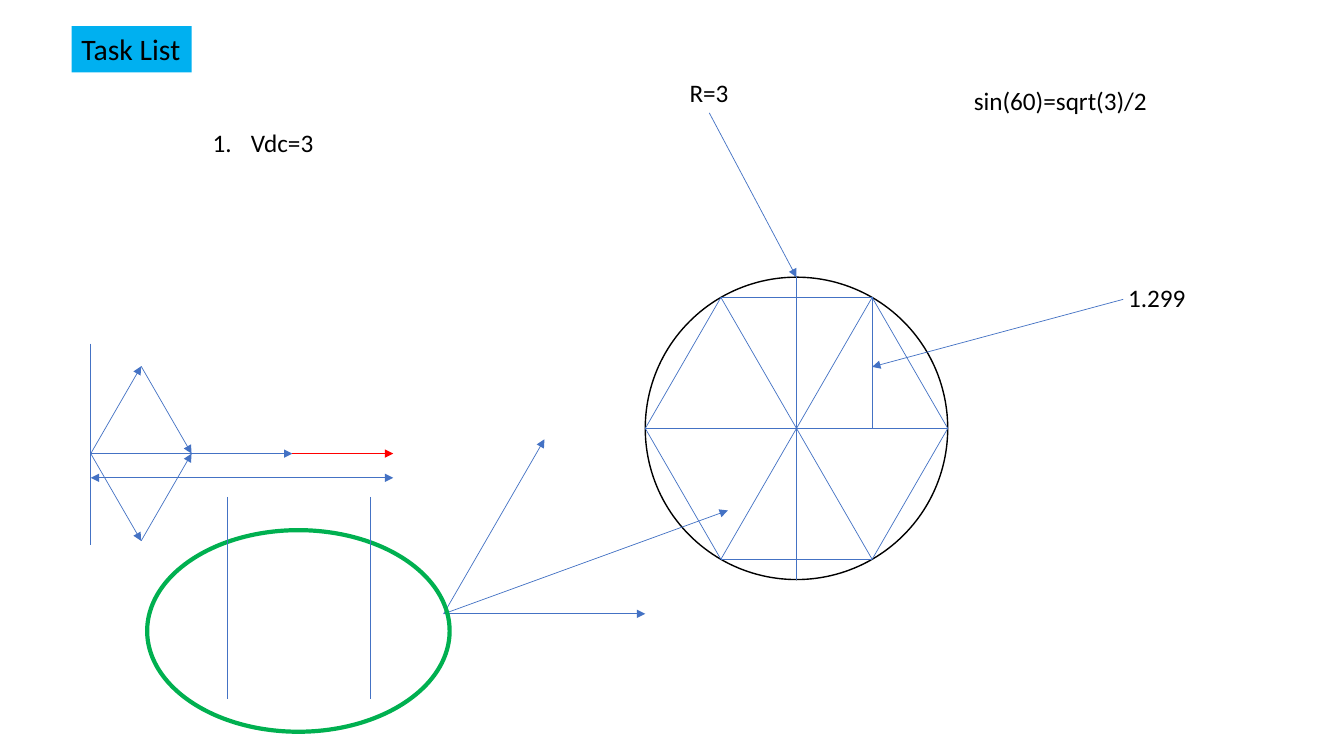
from math import cos, radians, sin

from pptx import Presentation
from pptx.dml.color import RGBColor
from pptx.enum.shapes import MSO_CONNECTOR, MSO_SHAPE
from pptx.enum.text import MSO_AUTO_SIZE
from pptx.oxml.ns import qn
from pptx.util import Inches, Pt
from lxml.etree import SubElement

COLORS = {
    "blue": "4472C4",
    "red": "FF0000",
    "green": "00B050",
    "cyan": "00B0F0",
    "black": "000000",
}


class Board:
    font = "Calibri"
    size = 18
    width = 0.5

    def __init__(self, slide):
        self.slide = slide

    def color(self, name):
        return RGBColor.from_string(COLORS[name])

    def label(self, text, x, y, w, h=0.4, size=size, fill=None, number=False):
        box = self.slide.shapes.add_textbox(Inches(x), Inches(y), Inches(w), Inches(h))
        if fill:
            box.fill.solid()
            box.fill.fore_color.rgb = self.color(fill)
        frame = box.text_frame
        frame.text = text
        frame.word_wrap = False
        frame.auto_size = MSO_AUTO_SIZE.SHAPE_TO_FIT_TEXT
        para = frame.paragraphs[0]
        if number:
            props = para._p.get_or_add_pPr()
            indent = Inches(0.38)
            props.set("marL", str(indent))
            props.set("indent", str(-indent))
            SubElement(props, qn("a:buFont"), typeface="+mj-lt")
            SubElement(props, qn("a:buAutoNum"), type="arabicPeriod")
        font = para.runs[0].font
        font.name = self.font
        font.size = Pt(size)
        font.color.rgb = self.color("black")
        return box

    def line(self, start, end, color="blue", head=False, tail=False):
        points = [Inches(value) for value in (*start, *end)]
        link = self.slide.shapes.add_connector(MSO_CONNECTOR.STRAIGHT, *points)
        link.line.color.rgb = self.color(color)
        link.line.width = Pt(self.width)
        stroke = link.line._get_or_add_ln()
        for shown, tag in ((head, "a:headEnd"), (tail, "a:tailEnd")):
            if shown:
                SubElement(stroke, qn(tag), type="triangle")
        SubElement(link._element.spPr, qn("a:effectLst"))
        return link

    def arrow(self, start, end, color="blue"):
        return self.line(start, end, color, tail=True)

    def oval(self, x, y, w, h, color, width):
        oval = self.slide.shapes.add_shape(
            MSO_SHAPE.OVAL, Inches(x), Inches(y), Inches(w), Inches(h))
        oval.shadow.inherit = False
        oval.fill.background()
        oval.line.color.rgb = self.color(color)
        oval.line.width = Pt(width)


def polar(center, radius, angle):
    x, y = center
    turn = radians(angle)
    return x + radius * cos(turn), y - radius * sin(turn)


def vectors(board):
    start = (0.9, 4.5)
    mid = polar(start, 1, 0)
    for angle in (60, -60):
        peak = polar(start, 1, angle)
        board.arrow(start, peak)
        board.arrow(peak, mid)
    joint = polar(start, 2, 0)
    board.arrow(start, joint)
    board.arrow(joint, polar(start, 3, 0), "red")
    board.line((0.9, 4.74), (3.9, 4.74), head=True, tail=True)
    board.line((0.9, 3.41), (0.9, 5.41))


def hexagon(board):
    center, radius = (7.9, 4.25), 1.5
    x, y = center
    board.oval(x - radius, y - radius, 2 * radius, 2 * radius, "black", 1)
    corners = [polar(center, radius, 60 * step) for step in range(6)]
    for step, corner in enumerate(corners):
        board.line(corner, corners[(step + 1) % 6])
    for corner, facing in zip(corners[:3], corners[3:]):
        board.line(corner, facing)
    top = polar(center, radius, 90)
    board.line(top, polar(center, radius, -90))
    peak = corners[1]
    board.line(peak, (peak[0], y))
    note = board.label("R=3", 6.74, 0.72, 0.59)
    board.arrow((7.03, 1.12), top).begin_connect(note, 2)
    board.label("1.299", 11.09, 2.75, 0.78)
    board.arrow((11.14, 2.97), (peak[0], 3.64))


def ellipse(board):
    start = (4.4, 6.09)
    for length, angle in ((2, 0), (2, 60), (3, 20)):
        board.arrow(start, polar(start, length, angle))
    board.oval(1.46, 5.26, 3, 2, "green", 3)
    for x in (2.25, 3.67):
        board.line((x, 4.93), (x, 6.93))


def main():
    deck = Presentation()
    deck.slide_width, deck.slide_height = Inches(13.33), Inches(7.5)
    board = Board(deck.slides.add_slide(deck.slide_layouts[6]))
    board.label("Task List", 0.71, 0.26, 1.19, 0.46, size=21.2, fill="cyan")
    board.label("Vdc=3", 2.01, 1.21, 1.21, number=True)
    board.label("sin(60)=sqrt(3)/2", 9.56, 0.8, 1.94)
    vectors(board)
    hexagon(board)
    ellipse(board)
    deck.save("out.pptx")


if __name__ == "__main__":
    main()
